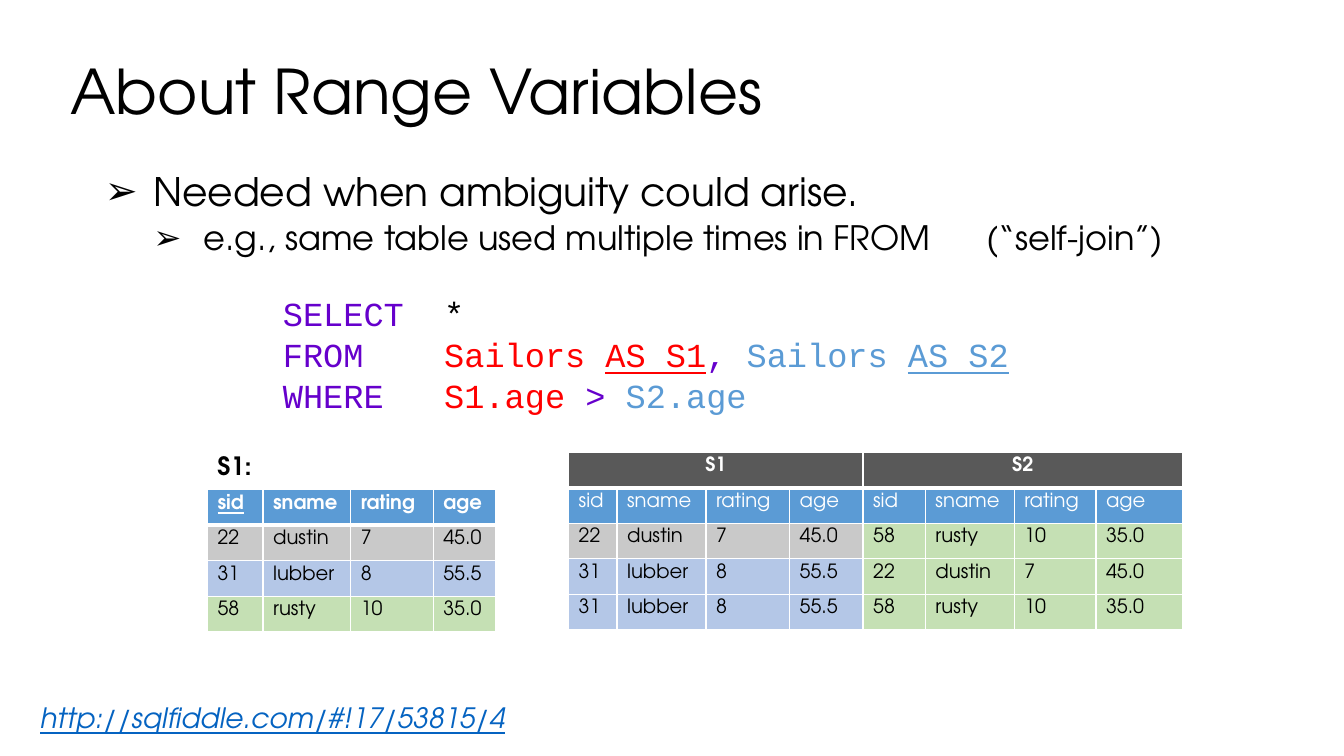
"""Build the slide on range variables in SQL self-joins."""
import pptx
import pptx.dml.color
import pptx.enum.text
import pptx.oxml
import pptx.oxml.ns
import pptx.util
from pptx.util import Cm

RGBColor = pptx.dml.color.RGBColor
Pt = pptx.util.Pt
PP_ALIGN = pptx.enum.text.PP_ALIGN
MSO_ANCHOR = pptx.enum.text.MSO_ANCHOR

BLACK = RGBColor(0x00, 0x00, 0x00)
WHITE = RGBColor(0xFF, 0xFF, 0xFF)
PURPLE = RGBColor(0x66, 0x00, 0xCC)
RED = RGBColor(0xFF, 0x00, 0x00)
BLUE = RGBColor(0x5B, 0x9B, 0xD5)
LINK = RGBColor(0x05, 0x63, 0xC1)
DARK = RGBColor(0x59, 0x59, 0x59)
GREY = RGBColor(0xC9, 0xC9, 0xC9)
PALE_BLUE = RGBColor(0xB4, 0xC7, 0xE7)
GREEN = RGBColor(0xC5, 0xE0, 0xB4)

HEADER = ["sid", "sname", "rating", "age"]
DUSTIN = ["22", "dustin", "7", "45.0"]
LUBBER = ["31", "lubber", "8", "55.5"]
RUSTY = ["58", "rusty", "10", "35.0"]


class Deck:
    """Hold the style and the current slide."""

    font = "TeX Gyre Adventor"
    code_font = "Courier New"

    def __init__(self):
        self.prs = pptx.Presentation()
        self.prs.slide_width, self.prs.slide_height = Cm(33.87), Cm(19.05)
        self.s = self.prs.slides.add_slide(self.prs.slide_layouts[1])

    def run(self, p, text, size, color=BLACK, bold=False, italic=False,
            underline=False, font=None):
        r = p.add_run()
        r.text = text
        f = r.font
        f.name, f.size, f.color.rgb = font or self.font, Pt(size), color
        f.bold, f.italic, f.underline = bold, italic, underline
        return r

    def place(self, sp, box):
        sp.left, sp.top, sp.width, sp.height = map(Cm, box)
        tf = sp.text_frame
        tf.auto_size = pptx.enum.text.MSO_AUTO_SIZE.NONE
        tf.word_wrap = True
        return tf

    def title(self, box, text):
        tf = self.place(self.s.shapes.title, box)
        tf.vertical_anchor = MSO_ANCHOR.MIDDLE
        p = tf.paragraphs[0]
        p.alignment, p.line_spacing = PP_ALIGN.LEFT, 0.9
        self.run(p, text, 44)

    def body(self, box):
        tf = self.place(self.s.placeholders[1], box)
        tf.vertical_anchor = MSO_ANCHOR.TOP
        return tf

    def bullet(self, p, level, left, hanging, before):
        pPr = p._p.get_or_add_pPr()
        pPr.set("marL", str(Cm(left)))
        pPr.set("indent", str(-Cm(hanging)))
        bu = pptx.oxml.parse_xml(
            f'<a:buChar {pptx.oxml.ns.nsdecls("a")} char="➢"/>')
        pPr.append(bu)
        p.level, p.line_spacing, p.space_before = level, 0.9, Pt(before)

    def text(self, box, lines, size, wrap=True, line_spacing=None, font=None):
        tf = self.place(self.s.shapes.add_textbox(0, 0, 0, 0), box)
        tf.word_wrap = wrap
        for i, line in enumerate(lines):
            p = tf.add_paragraph() if i else tf.paragraphs[0]
            p.line_spacing = line_spacing
            for text, style in line:
                self.run(p, text, size, font=font, **style)

    def border(self, cell, top, bottom):
        tcPr = cell._tc.get_or_add_tcPr()
        for side, width in (("L", 1), ("R", 1), ("T", top), ("B", bottom)):
            tcPr.append(pptx.oxml.parse_xml(
                f'<a:ln{side} {pptx.oxml.ns.nsdecls("a")} w="{Pt(width)}">'
                f'<a:solidFill><a:srgbClr val="{WHITE}"/></a:solidFill>'
                f'</a:ln{side}>'))

    def cell(self, cell, text, fill, head, below_head, align=None, **style):
        self.border(cell, 3 if below_head else 1, 3 if head else 1)
        cell.fill.solid()
        cell.fill.fore_color.rgb = fill
        p = cell.text_frame.paragraphs[0]
        p.alignment = align
        if text:
            self.run(p, text, 14, **style)

    def table(self, left, top, widths, rows, fills):
        frame = self.s.shapes.add_table(len(rows), len(widths), Cm(left),
                                        Cm(top), Cm(sum(widths)),
                                        Cm(0.895 * len(rows)))
        tbl = frame.table
        tbl.first_row = tbl.horz_banding = False
        for col, width in zip(tbl.columns, widths):
            col.width = Cm(width)
        for i, (row, colors) in enumerate(zip(rows, fills)):
            for j, text in enumerate(row):
                fill = colors[j // len(HEADER)]
                self.cell(tbl.cell(i, j), text, fill, i == 0, i == 1,
                          align=PP_ALIGN.CENTER if fill == DARK else None,
                          color=WHITE if fill in (DARK, BLUE) else BLACK,
                          bold=i == 0,
                          underline=i == 0 and text == "sid")
        return tbl


def main():
    deck = Deck()
    deck.title((1.52, 0.53, 30, 3.68), "About Range Variables")

    tf = deck.body((2.34, 4.22, 29.21, 11.13))
    p = tf.paragraphs[0]
    deck.bullet(p, 0, 1.27, 1.22, 0)
    deck.run(p, "Needed when ambiguity could arise.", 28)
    p = tf.add_paragraph()
    deck.bullet(p, 1, 2.54, 1.27, 5)
    deck.run(p, "e.g., same table used multiple times in FROM", 24)
    gap = deck.run(p, " ", 24)
    gap.font._element.set("spc", "3300")
    deck.run(p, "(“self-join”)", 24)

    keyword, first, second = ({"color": c} for c in (PURPLE, RED, BLUE))
    deck.text((6.88, 7.26, 19.1, 3.33), [
        [("SELECT  ", keyword), ("*", {})],
        [("FROM    ", keyword),
         ("Sailors ", first), ("AS S1", {**first, "underline": True}),
         (", ", keyword),
         ("Sailors ", second), ("AS S2", {**second, "underline": True})],
        [("WHERE   ", keyword), ("S1.age", first), (" > ", keyword),
         ("S2.age", second)],
    ], 24, wrap=False, line_spacing=Pt(29), font=deck.code_font)

    deck.text((0.76, 17.53, 14.99, 1.12),
              [[("http://sqlfiddle.com/#!17/53815/4",
                 {"color": LINK, "italic": True, "underline": True})]], 20)

    deck.table(5.23, 12.34, [1.4, 2.21, 2.08, 1.57],
               [HEADER, DUSTIN, LUBBER, RUSTY],
               [[BLUE], [GREY], [PALE_BLUE], [GREEN]])
    deck.text((5.23, 11.23, 1.4, 1.02), [[("S1:", {"bold": True})]], 18,
              wrap=False)

    blanks = [""] * 3
    joined = deck.table(
        14.33, 11.4, [1.22, 2.24, 2.11, 1.85, 1.57, 2.24, 2.06, 2.18],
        [["S1", *blanks, "S2", *blanks], HEADER * 2, DUSTIN + RUSTY,
         LUBBER + DUSTIN, LUBBER + RUSTY],
        [[DARK] * 2, [BLUE] * 2, [GREY, GREEN], [PALE_BLUE, GREEN],
         [PALE_BLUE, GREEN]])
    for start in (0, 4):
        joined.cell(0, start).merge(joined.cell(0, start + 3))

    deck.prs.save("out.pptx")


if __name__ == "__main__":
    main()
